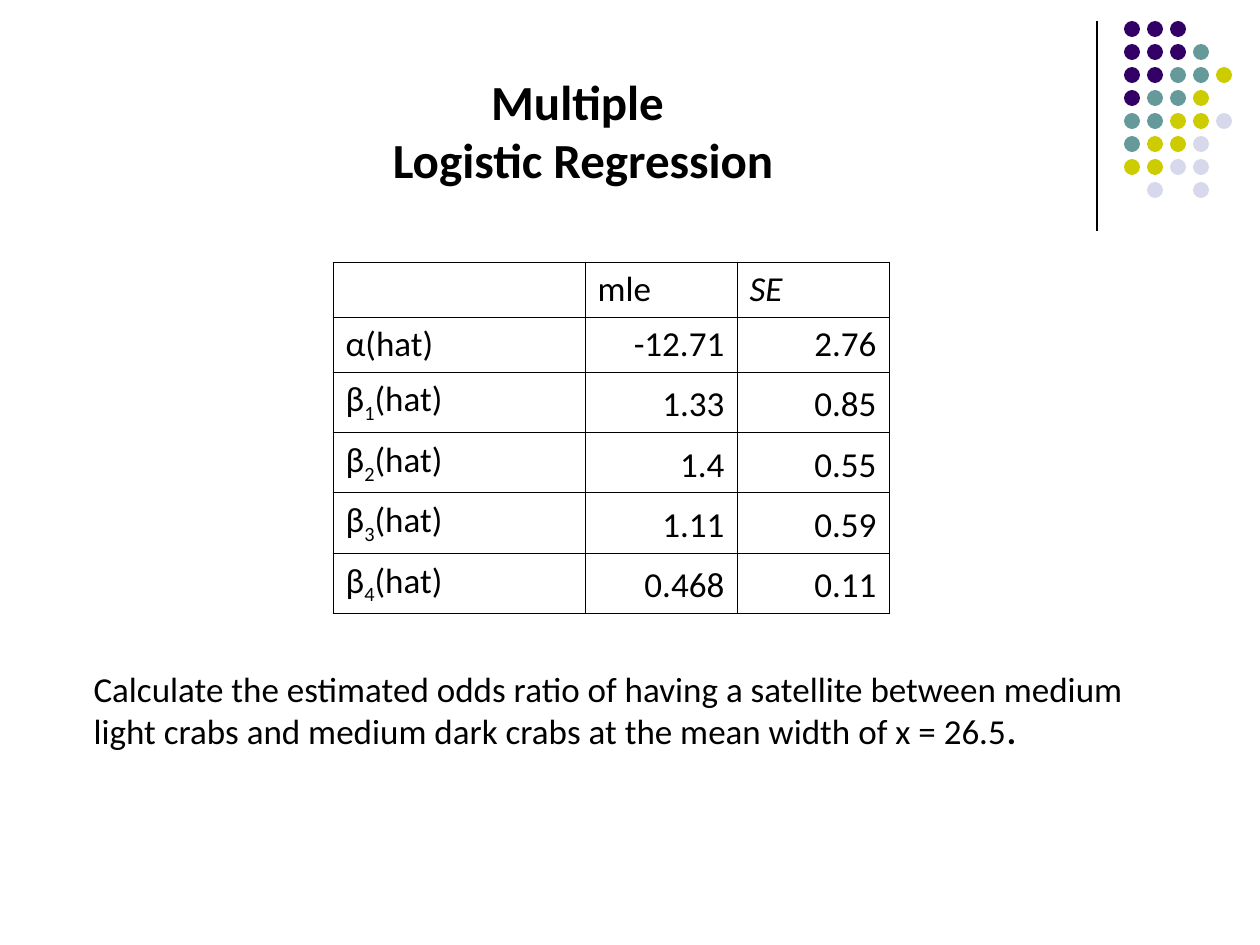
import pptx
import pptx.dml.color
import pptx.enum.shapes
import pptx.enum.text
import pptx.oxml
import pptx.oxml.ns
import pptx.util

SHAPE = pptx.enum.shapes.MSO_SHAPE
ALIGN = pptx.enum.text.PP_ALIGN
BOTTOM = pptx.enum.text.MSO_ANCHOR.BOTTOM
BLACK = "000000"
DOT_COLORS = {"P": "330066", "T": "669999", "Y": "CCCC00", "L": "D8D8EC"}
DOT_ROWS = ["PPP", "PPPT", "PPTTY", "PTTY", "TTYYL", "TYYL", "YYLL", " L L"]
ESTIMATES = [
    ("α", "", "-12.71", "2.76"),
    ("β", "1", "1.33", "0.85"),
    ("β", "2", "1.4", "0.55"),
    ("β", "3", "1.11", "0.59"),
    ("β", "4", "0.468", "0.11"),
]


def px(n):
    return pptx.util.Emu(round(n * 914400 / 126))


def rgb(color):
    return pptx.dml.color.RGBColor.from_string(color)


def add_run(p, text, size=20, bold=False, italic=False, baseline=None):
    r = p.add_run()
    r.text = text
    r.font.name = "Calibri"
    r.font.size = pptx.util.Pt(size)
    r.font.bold = bold
    r.font.italic = italic
    r.font.color.rgb = rgb(BLACK)
    if baseline:
        r.font._element.set("baseline", str(baseline))


def set_frame(tf):
    tf.word_wrap = True
    tf.vertical_anchor = BOTTOM
    tf.margin_left = tf.margin_right = pptx.util.Inches(0.1)
    tf.margin_top = tf.margin_bottom = pptx.util.Inches(0.05)


def add_ornament(s, x, y, height):
    rule = s.shapes.add_connector(
        pptx.enum.shapes.MSO_CONNECTOR.STRAIGHT, px(x), px(y), px(x), px(y + height))
    rule.line.color.rgb = rgb(BLACK)
    rule.line.width = pptx.util.Pt(0.75)
    pptx.oxml.ns.qn("a:effectLst")
    rule._element.spPr.append(
        pptx.oxml.parse_xml(f"<a:effectLst {pptx.oxml.ns.nsdecls('a')}/>"))
    dots = s.shapes.add_group_shape()
    pitch, size = 23, 16
    for i, row in enumerate(DOT_ROWS):
        for j, key in enumerate(row):
            if key == " ":
                continue
            sp = dots.shapes.add_shape(
                SHAPE.OVAL, px(x + 27 + j * pitch), px(y + i * pitch), px(size), px(size))
            sp.shadow.inherit = False
            sp.fill.solid()
            sp.fill.fore_color.rgb = rgb(DOT_COLORS[key])
            sp.line.fill.background()


def add_title(s, x, y, w, h):
    tf = s.shapes.add_textbox(px(x), px(y), px(w), px(h)).text_frame
    set_frame(tf)
    p = tf.paragraphs[0]
    p.alignment = ALIGN.CENTER
    add_run(p, "Multiple ", 28, bold=True)
    p.add_line_break()
    add_run(p, "Logistic Regression", 28, bold=True)


def add_question(s, x, y, w, h):
    sp = s.shapes.add_shape(SHAPE.ROUNDED_RECTANGLE, px(x), px(y), px(w), px(h))
    sp.adjustments[0] = 0.22
    sp.shadow.inherit = False
    sp.fill.background()
    sp.line.fill.background()
    set_frame(sp.text_frame)
    p = sp.text_frame.paragraphs[0]
    p.alignment = ALIGN.LEFT
    add_run(p, "Calculate the estimated odds ratio of having a satellite between medium "
               "light crabs and medium dark crabs at the mean width of x = 26.5")
    add_run(p, ".", bold=True)


def style_cell(cell):
    set_frame(cell.text_frame)
    cell.vertical_anchor = BOTTOM
    cell.margin_left = cell.margin_right = pptx.util.Inches(0.1)
    cell.margin_top = cell.margin_bottom = pptx.util.Inches(0.05)
    tcPr = cell._tc.get_or_add_tcPr()
    for side in "LRTB":
        tcPr.append(pptx.oxml.parse_xml(
            f'<a:ln{side} {pptx.oxml.ns.nsdecls("a")} w="{pptx.util.Pt(0.45)}">'
            f'<a:solidFill><a:srgbClr val="{BLACK}"/></a:solidFill></a:ln{side}>'))
    cell.fill.background()
    p = cell.text_frame.paragraphs[0]
    p.font.size = pptx.util.Pt(20)
    pPr = p._p.get_or_add_pPr()
    pPr.set("marL", str(px(48)))
    pPr.set("indent", str(px(-48)))
    return p


def add_estimates(s, x, y, widths, heights):
    table = s.shapes.add_table(
        len(heights), len(widths), px(x), px(y), px(sum(widths)), px(sum(heights))).table
    table.first_row = table.horz_banding = False
    for col, w in zip(table.columns, widths):
        col.width = px(w)
    for row, h in zip(table.rows, heights):
        row.height = px(h)
    cells = [[style_cell(cell) for cell in row.cells] for row in table.rows]
    add_run(cells[0][1], "mle")
    add_run(cells[0][2], "SE", italic=True)
    for (label, *numbers), (symbol, index, *values) in zip(cells[1:], ESTIMATES):
        if index:
            add_run(label, symbol)
            add_run(label, index, baseline=-25000)
            add_run(label, "(hat)")
        else:
            add_run(label, symbol + "(hat)")
        for p, value in zip(numbers, values):
            p.alignment = ALIGN.RIGHT
            add_run(p, value)


def main():
    prs = pptx.Presentation()
    prs.slide_width, prs.slide_height = px(1260), px(945)
    s = prs.slides.add_slide(prs.slide_layouts[6])
    add_ornament(s, 1097, 21, 210)
    add_title(s, 63, 16, 1040, 179)
    add_question(s, 73, 640, 1092, 126)
    add_estimates(s, 333, 262, [252, 152, 152], [55, 55] + [60] * 4)
    prs.save("out.pptx")


if __name__ == "__main__":
    main()
